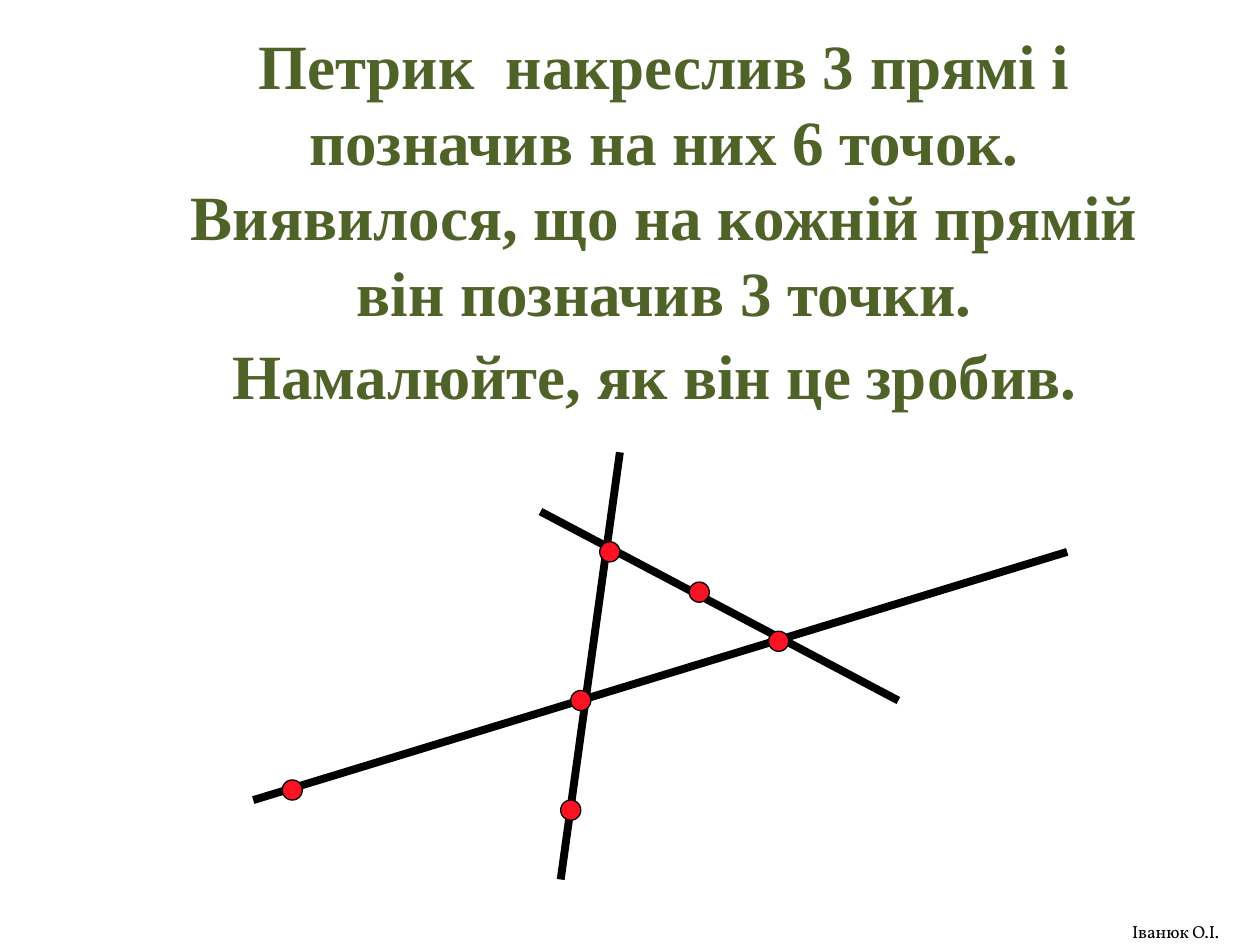
from lxml.etree import SubElement
from pptx import Presentation
from pptx.dml.color import RGBColor
from pptx.enum.shapes import MSO_CONNECTOR, MSO_SHAPE
from pptx.enum.text import MSO_ANCHOR, PP_ALIGN
from pptx.oxml.ns import qn
from pptx.util import Inches, Pt

INK = "000000"
GREEN = "4F6228"
RED = "FC1223"
DOT_SIZE = 0.16


def color(hex_value):
    return RGBColor.from_string(hex_value)


def add_run(paragraph, text, *, font, size, fill=INK, bold=False):
    run = paragraph.add_run()
    run.text = text
    run.font.name = font
    run.font.size = Pt(size)
    run.font.bold = bold
    run.font.color.rgb = color(fill)


class GeometrySlide:
    def __init__(self, presentation):
        self.slide = presentation.slides.add_slide(presentation.slide_layouts[6])
        self.shapes = self.slide.shapes

    def text_box(self, left, top, width, height, anchor=MSO_ANCHOR.TOP):
        """Add a centred text box and return its first paragraph."""
        box = self.shapes.add_textbox(
            Inches(left), Inches(top), Inches(width), Inches(height))
        frame = box.text_frame
        frame.word_wrap = True
        frame.vertical_anchor = anchor
        paragraph = frame.paragraphs[0]
        paragraph.alignment = PP_ALIGN.CENTER
        return paragraph

    def straight_line(self, start, end):
        line = self.shapes.add_connector(
            MSO_CONNECTOR.STRAIGHT, *map(Inches, start + end))
        line.line.color.rgb = color(INK)
        line.line.width = Pt(4.5)
        SubElement(line._element.spPr, qn("a:effectLst"))

    def point(self, left, top):
        dot = self.shapes.add_shape(
            MSO_SHAPE.OVAL, Inches(left), Inches(top),
            Inches(DOT_SIZE), Inches(DOT_SIZE))
        dot.shadow.inherit = False
        dot.fill.solid()
        dot.fill.fore_color.rgb = color(RED)
        dot.line.color.rgb = color(INK)
        dot.line.width = Pt(0.75)


def main():
    presentation = Presentation()
    presentation.slide_width = Inches(10)
    presentation.slide_height = Inches(7.5)
    page = GeometrySlide(presentation)

    problem = page.text_box(1.3, 1.23, 7.94, 1.03, MSO_ANCHOR.MIDDLE)
    add_run(problem,
            "Петрик  накреслив 3 прямі і позначив на них 6 точок. "
            "Виявилося, що на кожній прямій він позначив 3 точки. "
            "Намалюйте, як він це зробив.",
            font="Times New Roman", size=36, fill=GREEN, bold=True)
    # The larger closing space sets the height of the last line.
    add_run(problem, " ", font="Arial", size=40, fill=GREEN, bold=True)

    for start, end in (
        ((2.01, 6.35), (8.47, 4.38)),
        ((4.45, 6.98), (4.92, 3.59)),
        ((4.29, 4.06), (7.13, 5.56)),
    ):
        page.straight_line(start, end)

    for left, top in (
        (5.47, 4.62), (4.45, 6.35), (6.1, 5.01),
        (2.24, 6.19), (4.76, 4.3), (4.53, 5.48),
    ):
        page.point(left, top)

    author = page.text_box(8.66, 7.26, 1.34, 0.24)
    add_run(author, "Іванюк О.І.", font="Vollkorn", size=10)

    presentation.save("out.pptx")


if __name__ == "__main__":
    main()
